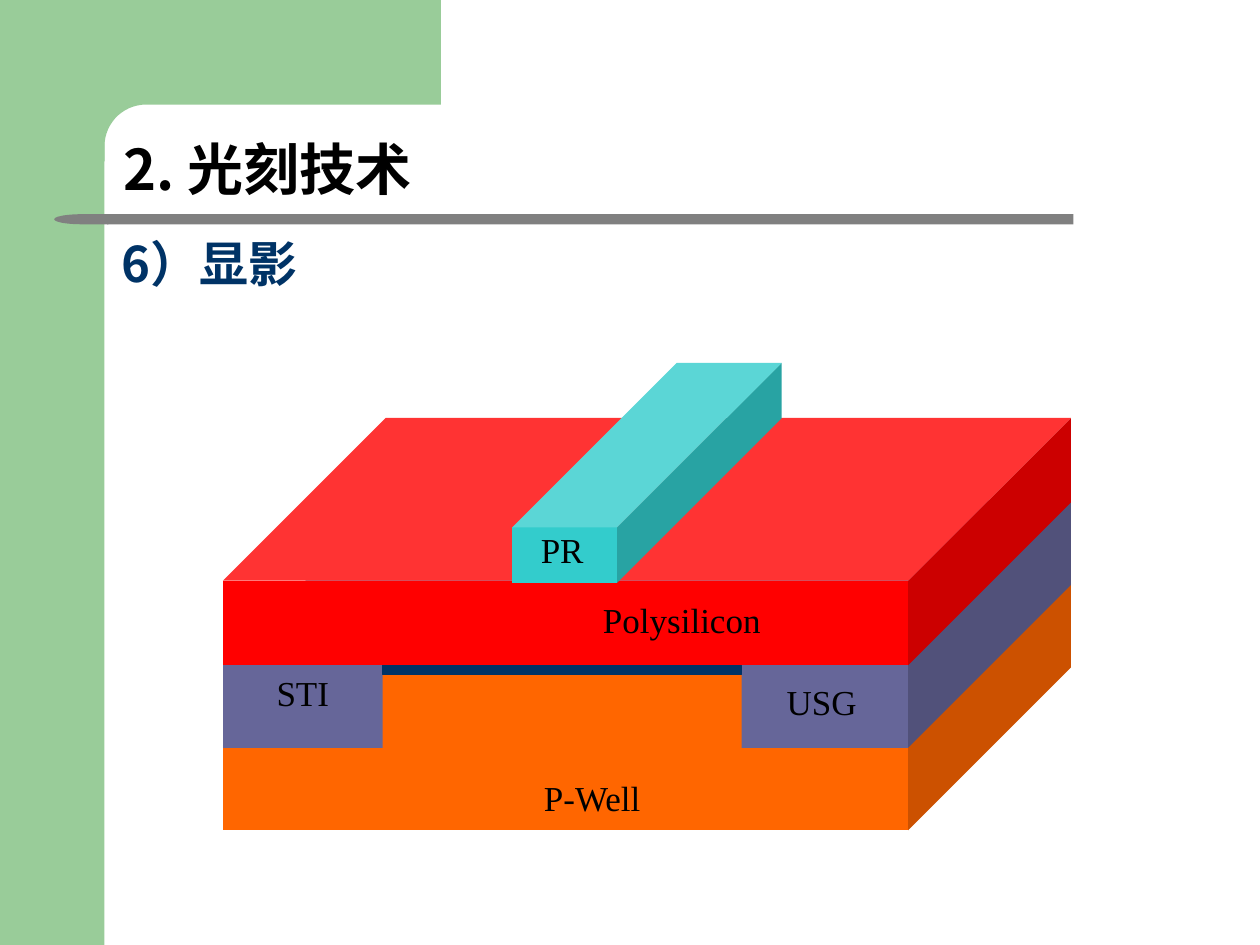
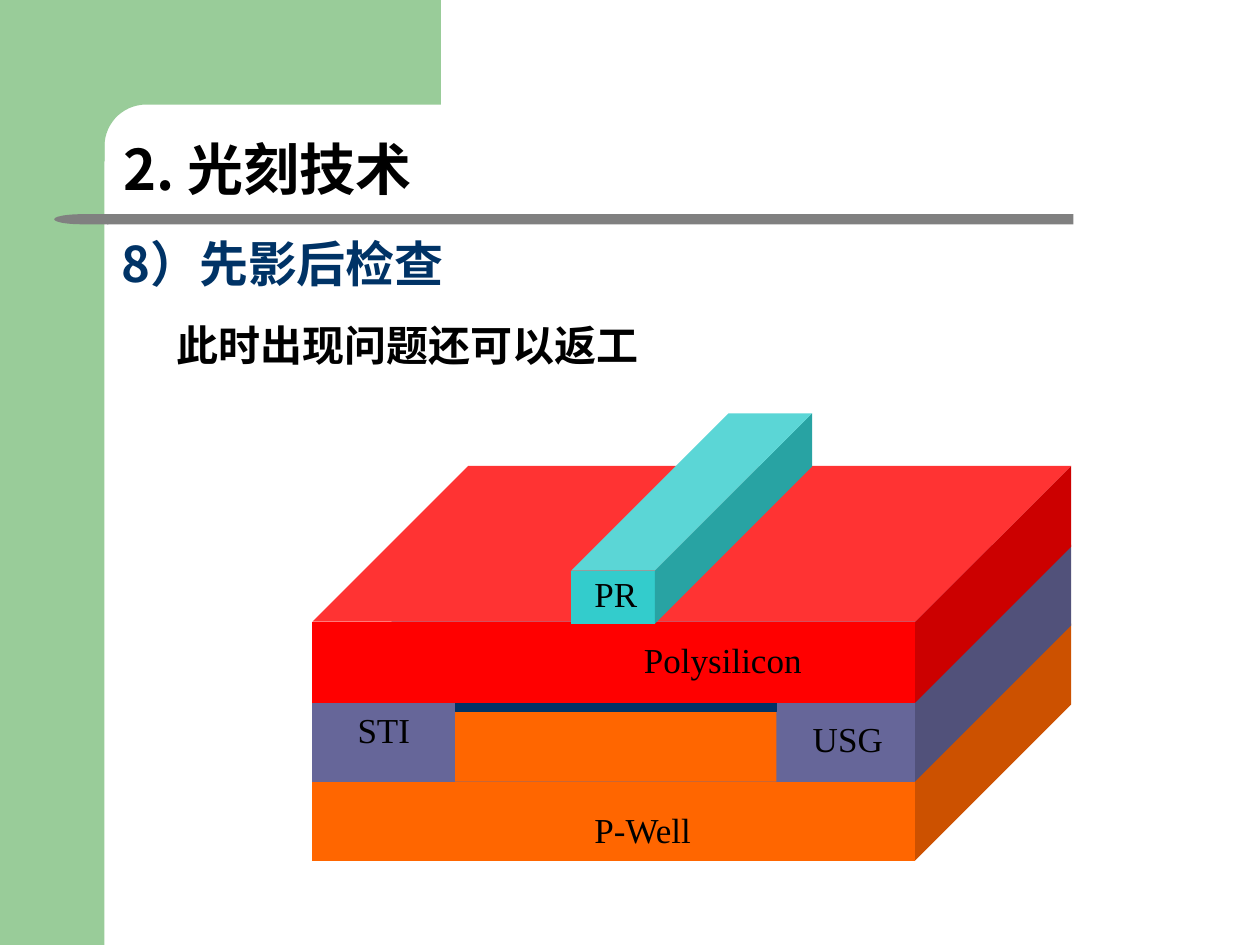
import math

from lxml import etree
from pptx import Presentation
from pptx.dml.color import RGBColor
from pptx.enum import shapes, text
from pptx.oxml import ns
from pptx.util import Inches, Pt

WIDE, HIGH = 10, 7.5
GREEN = RGBColor(0x99, 0xCC, 0x99)
GRAY = RGBColor(0x80, 0x80, 0x80)
BLACK = RGBColor(0x00, 0x00, 0x00)
NAVY = RGBColor(0x00, 0x33, 0x66)
ORANGE = RGBColor(0xFF, 0x66, 0x00)
SLATE = RGBColor(0x66, 0x66, 0x99)
RED = RGBColor(0xFF, 0x00, 0x00)
TEAL = RGBColor(0x33, 0xCC, 0xCC)
SANS, SERIF = "Noto Sans CJK SC", "Times New Roman"
KIND = shapes.MSO_SHAPE
ALIGN = text.PP_ALIGN

# The layered block is drawn on a grid of its own box
COLS, ROWS = 85, 51
STEP = 9          # rows between one layer and the next
DEPTH = 0.658     # slant of a layer
EDGE = 0.83       # width of the green side band


def plain(shape, color=None):
    """Flat shape: no shadow, no line, one fill or none."""
    shape.shadow.inherit = False
    shape.line.fill.background()
    if color is None:
        shape.fill.background()
    else:
        shape.fill.solid()
        shape.fill.fore_color.rgb = color
    return shape


def draw(parts, kind, box, color=None, adj=None):
    shape = plain(parts.add_shape(kind, *map(Inches, box)), color)
    if adj is not None:
        shape.adjustments[0] = adj
    return shape


def write(shape, words, size, color=BLACK, face=SANS, bold=True,
          align=ALIGN.LEFT, low=False):
    frame = shape.text_frame
    frame.word_wrap = True
    frame.vertical_anchor = text.MSO_ANCHOR.BOTTOM if low else text.MSO_ANCHOR.TOP
    frame.text = words
    para = frame.paragraphs[0]
    para.alignment = align
    if low:
        para.line_spacing = 0.9
    for run in para.runs:
        font = run.font
        font.size, font.bold, font.name = Pt(size), bold, face
        font.color.rgb = color
        east = etree.SubElement(run._r.get_or_add_rPr(), ns.qn("a:ea"))
        east.set("typeface", face)


def corner(parts):
    """Top band, with the rounded inner corner below it."""
    left, right, top, end, bend = 0.5, 3.5, EDGE, 1.16, 0.33
    turn = [(end - bend * math.sin(a), end - bend * math.cos(a))
            for a in (math.radians(d) for d in range(0, 91, 6))]
    spots = [(right, top), *turn, (EDGE, 1.28), (left, 1.28), (left, 0)]
    pen = parts.build_freeform(Inches(right), 0)
    pen.add_line_segments([(Inches(x), Inches(y)) for x, y in spots])
    plain(pen.convert_to_shape(), GREEN)


def frame(slide, title, head):
    # Green band
    band = slide.shapes.add_group_shape().shapes
    draw(band, KIND.RECTANGLE, (0, 0, EDGE, HIGH), GREEN)
    corner(band)
    # Gray rule with a rounded left tip
    rule = slide.shapes.add_group_shape().shapes
    draw(rule, KIND.ROUNDED_RECTANGLE, (0.85, 1.7, 7.67, 0.08), GRAY, 0)
    tip = draw(rule, KIND.FLOWCHART_DELAY, (0.43, 1.7, 0.43, 0.08), GRAY)
    tip.rotation = 180
    # Title and heading
    for words, box, size, color in (
            (title, (EDGE, 0.84, 3.54, 0.87), 32, BLACK),
            (head, (EDGE, 1.86, 3.62, 0.55), 28, NAVY)):
        shape = draw(slide.shapes, KIND.ROUNDED_RECTANGLE, box, adj=0.217)
        write(shape, words, size, color, low=True)


def stack(slide, box):
    """Layered wafer block inside box (left, top, width, height)."""
    left, top, width, height = box
    col, row = width / COLS, height / ROWS
    parts = slide.shapes.add_group_shape().shapes

    def cell(x, y, w, h):
        return left + x * col, top + y * row, w * col, h * row

    def layer(y, color):
        draw(parts, KIND.CUBE, cell(0, y, COLS, 3 * STEP), color, DEPTH)

    def label(words, x, y, w):
        note = parts.add_textbox(*map(Inches, cell(x, y, w, 6)))
        write(note, words, 20, face=SERIF, bold=False, align=ALIGN.CENTER)

    # Well and trench layers
    layer(24, ORANGE)
    layer(24 - STEP, SLATE)
    # Active area with its thin oxide
    draw(parts, KIND.RECTANGLE, cell(16, 33, 36, STEP), ORANGE)
    oxide = draw(parts, KIND.RECTANGLE, cell(16, 33, 36, 1), NAVY)
    oxide.line.color.rgb = NAVY
    oxide.line.width = Pt(0.75)
    # Polysilicon layer and labels
    layer(24 - 2 * STEP, RED)
    label("P-Well", 25, 44.4, 24)
    label("USG", 53, 34, 14)
    label("STI", 1, 33, 14)
    label("Polysilicon", 26, 25, 40)
    # Resist bar
    draw(parts, KIND.CUBE, cell(29, 0, 27, 24), TEAL, 0.748)
    label("PR", 29, 17.4, 10)


def page(deck, head, box, note=None):
    slide = deck.slides.add_slide(deck.slide_layouts[6])
    frame(slide, "2. 光刻技术", head)
    stack(slide, box)
    if note:
        line = slide.shapes.add_textbox(*map(Inches, (1.3, 2.49, 5.83, 0.5)))
        write(line, note, 24)


def main():
    deck = Presentation()
    deck.slide_width, deck.slide_height = Inches(WIDE), Inches(HIGH)
    page(deck, "6）显影", (1.77, 2.88, 6.73, 3.71))
    page(deck, "8）先影后检查", (2.48, 3.28, 6.02, 3.55), "此时出现问题还可以返工")
    deck.save("out.pptx")


if __name__ == "__main__":
    main()
